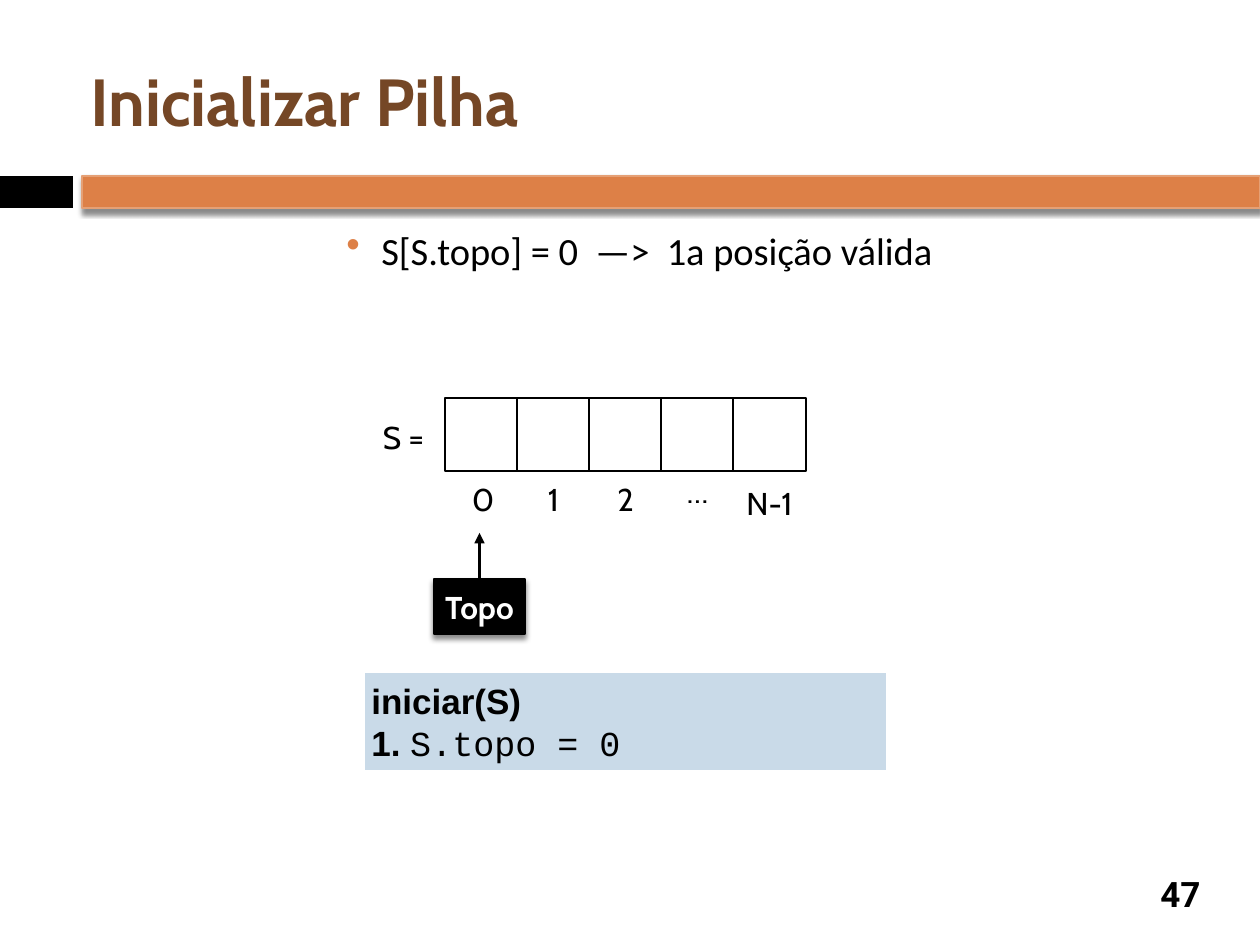
from lxml import etree
from pptx import Presentation
from pptx import util as u
from pptx.dml.color import RGBColor
from pptx.enum import shapes, text
from pptx.oxml import ns

PX = 914400 / 126
HUES = {"black": "000000", "white": "FFFFFF", "bar": "DD8047", "edge": "E5A075",
        "title": "754726", "code": "C9DAE8"}
MID = text.PP_ALIGN.CENTER
CABIN = {"name": "Cabin", "size": 18}


def px(*vals):
    return [u.Emu(round(v * PX)) for v in vals]


def hue(name):
    return RGBColor.from_string(HUES[name])


def add(root, tag, **attrs):
    return etree.SubElement(root, ns.qn(tag), {k: str(v) for k, v in attrs.items()})


def rect(slide, box, fill, line=None, shade=False):
    shape = slide.shapes.add_shape(shapes.MSO_SHAPE.RECTANGLE, *px(*box))
    shape.shadow.inherit = False
    shape.fill.solid()
    shape.fill.fore_color.rgb = hue(fill)
    if line:
        shape.line.color.rgb = hue(line)
        shape.line.width = u.Pt(1.5)
    else:
        shape.line.fill.background()
    if shade:
        glow = add(shape._element.spPr.find(ns.qn("a:effectLst")), "a:outerShdw",
                   blurRad=u.Pt(3), dist=u.Pt(2.4), dir=5400000, rotWithShape=0)
        add(add(glow, "a:srgbClr", val=HUES["black"]), "a:alpha", val=45000)
    return shape


def frame(shape, wrap=True, mid=False, grow=False):
    """Set margins, wrapping and anchor, and return the text frame."""
    tf = shape.text_frame
    look = {"word_wrap": wrap,
            "vertical_anchor": text.MSO_ANCHOR.MIDDLE if mid else text.MSO_ANCHOR.TOP,
            "auto_size": text.MSO_AUTO_SIZE.SHAPE_TO_FIT_TEXT if grow
            else text.MSO_AUTO_SIZE.NONE}
    for side in ("left", "top", "right", "bottom"):
        look["margin_" + side] = u.Inches(0.05)
    for key, val in look.items():
        setattr(tf, key, val)
    return tf


def write(para, words, font, color="black", align=text.PP_ALIGN.LEFT):
    para.alignment = align
    run = para.add_run()
    run.text = words
    for key, val in font.items():
        setattr(run.font, key, u.Pt(val) if key == "size" else val)
    run.font.color.rgb = hue(color)


def label(slide, box, words, font, color="black", align=text.PP_ALIGN.LEFT, **look):
    tf = frame(slide.shapes.add_textbox(*px(*box)), **look)
    write(tf.paragraphs[0], words, font, color, align)
    return tf.paragraphs[0]


def indent(para, size):
    """Hang the first line by size and return the paragraph properties."""
    props = para._p.get_or_add_pPr()
    gap = px(size)[0]
    props.set("marL", str(gap))
    props.set("indent", str(-gap))
    return props


def header(slide, x, y, w, h):
    rect(slide, (x, y + 144, 73, 32), "black")
    rect(slide, (x + 82, y + 144, w - 82, 32), "bar", "edge", shade=True)
    label(slide, (x + 84, y, w - 136, h), "Inicializar Pilha",
          {"name": "Cabin", "size": 38, "bold": True}, "title", mid=True)


def bullet(slide, *box):
    para = label(slide, box, "S[S.topo] = 0  —>  1a posição válida",
                 {"name": "Calibri", "size": 22})
    para.line_spacing = 0.2
    props = indent(para, 35)
    add(add(props, "a:buClr"), "a:srgbClr", val=HUES["bar"])
    add(props, "a:buFont", typeface="Arial")
    add(props, "a:buChar", char="•")


def stack(slide, x, y):
    """Draw the array, its indices and the pointer to the top."""
    label(slide, (x, y + 14, 59, 45), "S =", CABIN, align=MID, wrap=False, grow=True)
    marks = [("0", 32, 76), ("1", 32, 76), ("2", 32, 76), ("…", 45, 68), ("N-1", 63, 80)]
    for i, (mark, wide, drop) in enumerate(marks):
        left = x + 71 + 72 * i
        rect(slide, (left, y, 73, 73), "white", "black")
        label(slide, (left + (73 - wide) / 2, y + drop, wide, 45), mark, CABIN,
              align=MID, wrap=False, grow=True)
    topo = rect(slide, (x + 60, y + 181, 91, 55), "black", "black", shade=True)
    write(frame(topo, mid=True).paragraphs[0], "Topo", CABIN | {"bold": True},
          "white", MID)
    tip = x + 105.5
    arrow = slide.shapes.add_connector(shapes.MSO_CONNECTOR.STRAIGHT,
                                       *px(tip, y + 181, tip, y + 135))
    arrow.begin_connect(topo, 0)
    arrow.line.color.rgb = hue("black")
    arrow.line.width = u.Pt(1.5)
    add(arrow.line._get_or_add_ln(), "a:tailEnd", type="triangle")
    add(arrow._element.spPr, "a:effectLst")


def code(slide, *box):
    tf = frame(rect(slide, box, "code"), grow=True)
    bold = {"name": "Arial", "size": 20, "bold": True}
    write(tf.paragraphs[0], "iniciar(S)", bold)
    step = tf.add_paragraph()
    props = indent(step, 29)
    add(props, "a:buFont", typeface="Arial")
    add(props, "a:buAutoNum", type="arabicPeriod")
    write(step, " ", bold)
    write(step, "S.topo = 0", {"name": "Courier New", "size": 20, "bold": False})


def main():
    deck = Presentation()
    deck.slide_width, deck.slide_height = px(1260, 945)
    slide = deck.slides.add_slide(deck.slide_layouts[6])
    header(slide, 0, 32, 1260, 136)
    bullet(slide, 340, 252, 612, 76)
    stack(slide, 374, 398)
    code(slide, 365, 673, 521, 97)
    label(slide, (1144, 868, 73, 52), "47",
          {"name": "Roboto", "size": 20, "bold": True}, align=MID, mid=True)
    deck.save("out.pptx")


if __name__ == "__main__":
    main()
